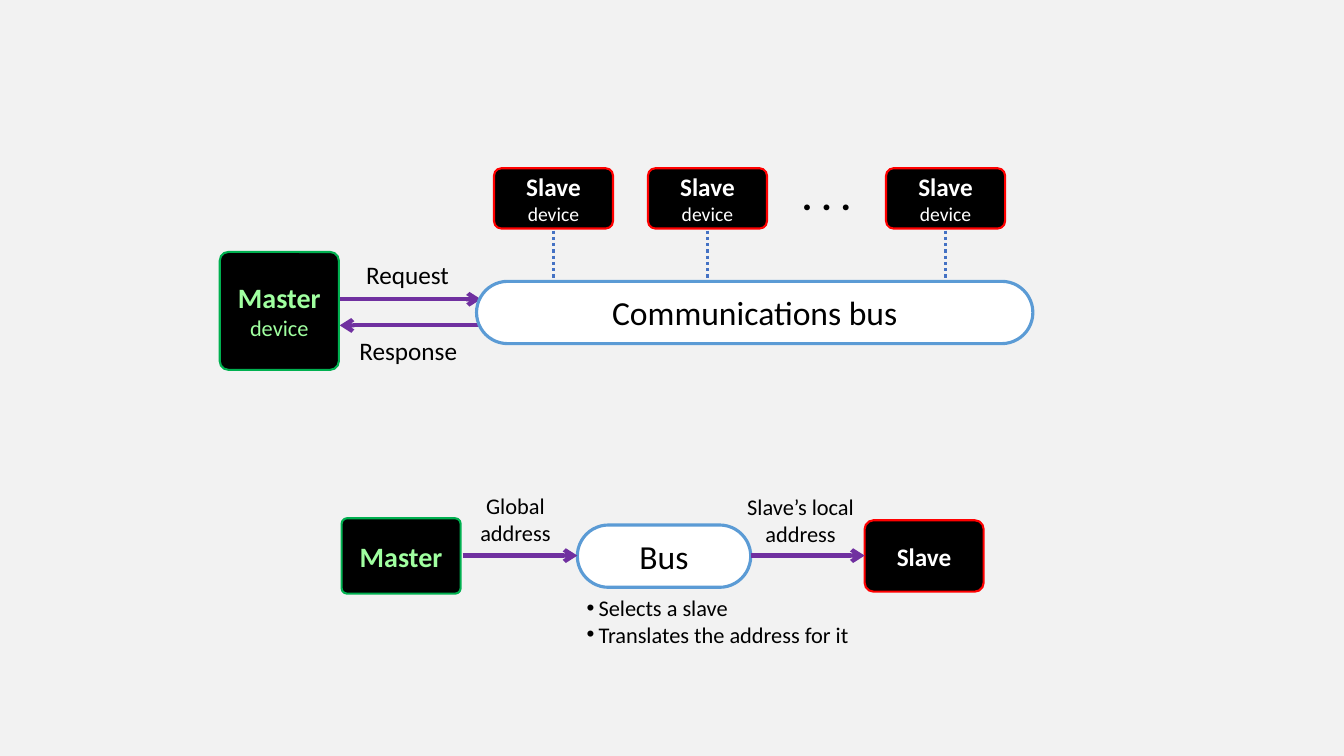
from lxml.etree import SubElement
from pptx import Presentation
from pptx.dml.color import RGBColor
from pptx.enum.dml import MSO_LINE
from pptx.enum.shapes import MSO_CONNECTOR, MSO_SHAPE
from pptx.enum.text import MSO_ANCHOR, MSO_AUTO_SIZE, PP_ALIGN
from pptx.oxml.ns import qn
from pptx.util import Cm, Pt

GREY = RGBColor(0xF2, 0xF2, 0xF2)
BLACK = RGBColor(0, 0, 0)
WHITE = RGBColor(0xFF, 0xFF, 0xFF)
RED = RGBColor(0xFF, 0, 0)
GREEN = RGBColor(0, 0xB0, 0x50)
MINT = RGBColor(0xA0, 0xFF, 0xA0)
SKY = RGBColor(0x5B, 0x9B, 0xD5)
BLUE = RGBColor(0x44, 0x72, 0xC4)
PURPLE = RGBColor(0x70, 0x30, 0xA0)

SIDE = 3.0  # width of every device, in cm


def write(shape, *lines, size=18, color=BLACK, bold=False,
          align=PP_ALIGN.CENTER, anchor=MSO_ANCHOR.MIDDLE, bullet=False):
    """Fill a shape; a line is a string or a list of (text, size, bold)."""
    frame = shape.text_frame
    frame.word_wrap = True
    frame.auto_size = MSO_AUTO_SIZE.NONE
    frame.vertical_anchor = anchor
    for index, line in enumerate(lines):
        para = frame.add_paragraph() if index else frame.paragraphs[0]
        para.alignment = align
        para.space_before = Pt(0)
        if bullet:
            props = para._p.get_or_add_pPr()
            props.set("marL", str(Cm(0.3)))
            props.set("indent", str(-Cm(0.3)))
            SubElement(props, qn("a:buFont"), typeface="Arial")
            SubElement(props, qn("a:buChar"), char="•")
        runs = [(line, size, bold)] if isinstance(line, str) else line
        for text, points, heavy in runs:
            run = para.add_run()
            run.text = text
            run.font.name = "Calibri"
            run.font.size = Pt(points)
            run.font.bold = heavy
            run.font.color.rgb = color


def label(slide, x, y, w, h, text, **style):
    write(slide.shapes.add_textbox(Cm(x), Cm(y), Cm(w), Cm(h)), text, **style)


def block(slide, x, y, w, h, *lines, fill, edge, width, curve, **style):
    shape = slide.shapes.add_shape(
        MSO_SHAPE.ROUNDED_RECTANGLE, Cm(x), Cm(y), Cm(w), Cm(h))
    shape.adjustments[0] = curve
    shape.shadow.inherit = False
    shape.fill.solid()
    shape.fill.fore_color.rgb = fill
    shape.line.color.rgb = edge
    shape.line.width = Pt(width)
    write(shape, *lines, **style)


def master(slide, x, y, h, *lines):
    block(slide, x, y, SIDE, h, *lines, fill=BLACK, edge=GREEN, width=1.5,
          curve=0.073, size=20, color=MINT, bold=True)


def slave(slide, x, y, h, line):
    block(slide, x, y, SIDE, h, line, fill=BLACK, edge=RED, width=1.5,
          curve=0.125, color=WHITE, bold=True)


def bus(slide, x, y, w, text):
    block(slide, x, y, w, 1.57, text, fill=WHITE, edge=SKY, width=2.25,
          curve=0.5, size=24)


def link(slide, x1, y1, x2, y2, color, width):
    line = slide.shapes.add_connector(
        MSO_CONNECTOR.STRAIGHT, Cm(x1), Cm(y1), Cm(x2), Cm(y2))
    line.line.color.rgb = color
    line.line.width = Pt(width)
    SubElement(line._element.spPr, qn("a:effectLst"))
    return line


def arrow(slide, x1, x2, y):
    line = link(slide, x1, y, x2, y, PURPLE, 3)
    SubElement(line.line._get_or_add_ln(), qn("a:tailEnd"), type="arrow")


def draw_system(slide, x, y):
    """One master and many slaves around the communications bus."""
    label(slide, x + 3.22, y + 2.16, 3.02, 1.02, "Request")
    label(slide, x + 3.05, y + 4.09, 3.4, 1.02, "Response")
    arrow(slide, x + 3.02, x + 6.58, y + 3.3)
    arrow(slide, x + 6.55, x + 3.02, y + 3.96)
    bus(slide, x + 6.47, y + 2.85, 14.02, "Communications bus")
    master(slide, x, y + 2.11, 2.97, "Master", [("device", 16, False)])
    for left in (6.91, 10.79, 16.79):
        slave(slide, x + left, y, 1.52,
              [("Slave", 18, True), (" ", 16, False), ("device", 14, False)])
        middle = x + left + SIDE / 2
        wire = link(slide, middle, y + 1.57, middle, y + 2.83, BLUE, 2.25)
        wire.line.dash_style = MSO_LINE.ROUND_DOT
    label(slide, x + 13.79, y - 0.05, SIDE, 1.45, ". . .", size=28, bold=True)


def draw_address(slide, x, y):
    """The way of an address from master to slave."""
    master(slide, x, y + 0.79, 1.9, "Master")
    label(slide, x + 2.87, y, 3.02, 1.63, "Global address", size=16)
    bus(slide, x + 5.94, y + 0.96, 4.37, "Bus")
    slave(slide, x + 13.18, y + 0.84, 1.8, "Slave")
    arrow(slide, x + 3.05, x + 5.94, y + 1.73)
    arrow(slide, x + 10.31, x + 13.18, y + 1.73)
    label(slide, x + 9.7, y + 0.02, 3.73, 1.63, "Slave’s local address",
          size=16)
    tasks = slide.placeholders[1]
    tasks.left, tasks.top = Cm(x + 5.92), Cm(y + 2.56)
    tasks.width, tasks.height = Cm(8.61), Cm(1.63)
    write(tasks, "Selects a slave", "Translates the address for it",
          size=16, align=PP_ALIGN.LEFT, bullet=True)


def main():
    deck = Presentation()
    deck.slide_width, deck.slide_height = Cm(33.87), Cm(19.05)
    slide = deck.slides.add_slide(deck.slide_layouts[1])
    title = slide.shapes.title._element
    title.getparent().remove(title)
    slide.background.fill.solid()
    slide.background.fill.fore_color.rgb = GREY
    draw_system(slide, 5.54, 4.24)
    draw_address(slide, 8.61, 12.27)
    deck.save("out.pptx")


if __name__ == "__main__":
    main()
